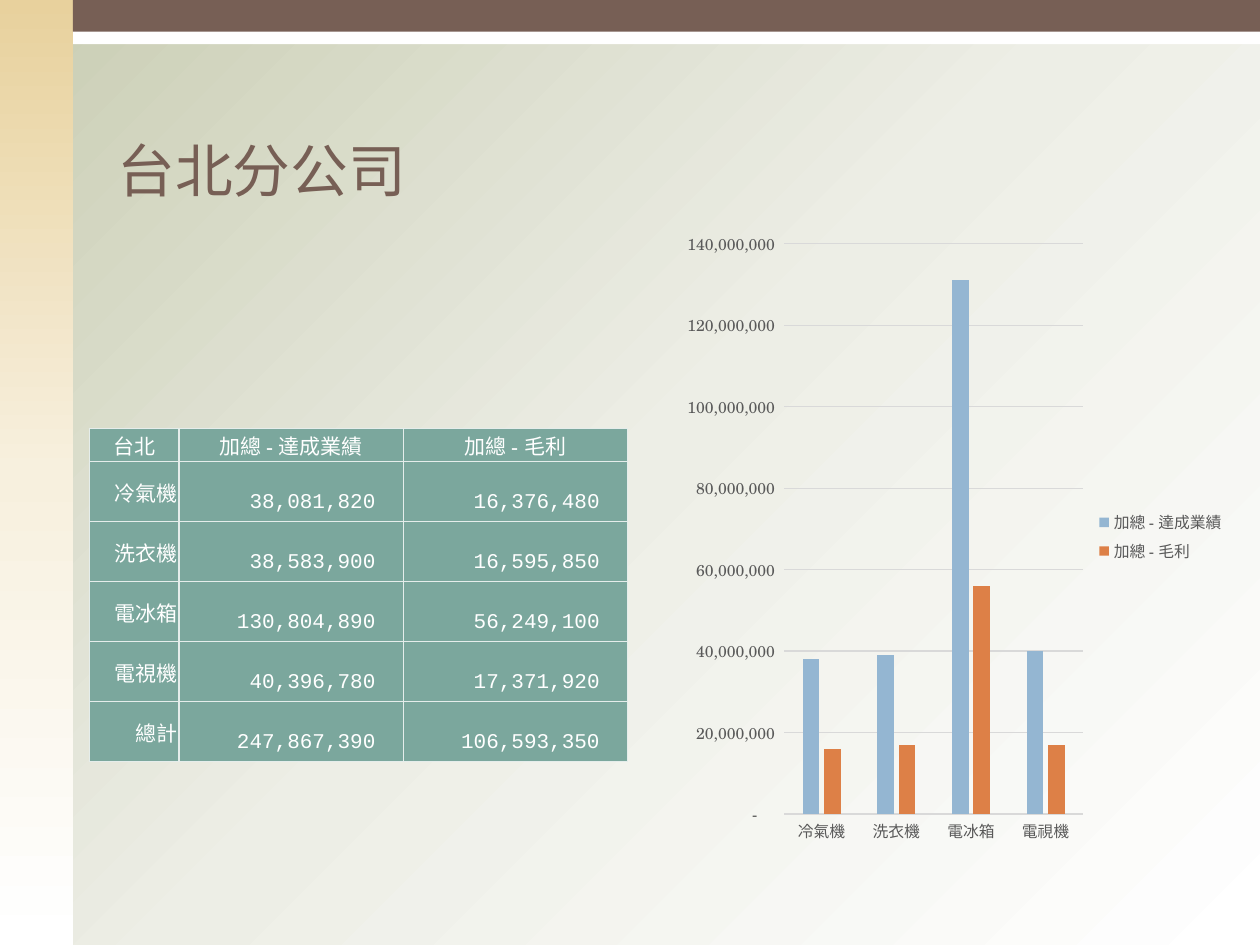
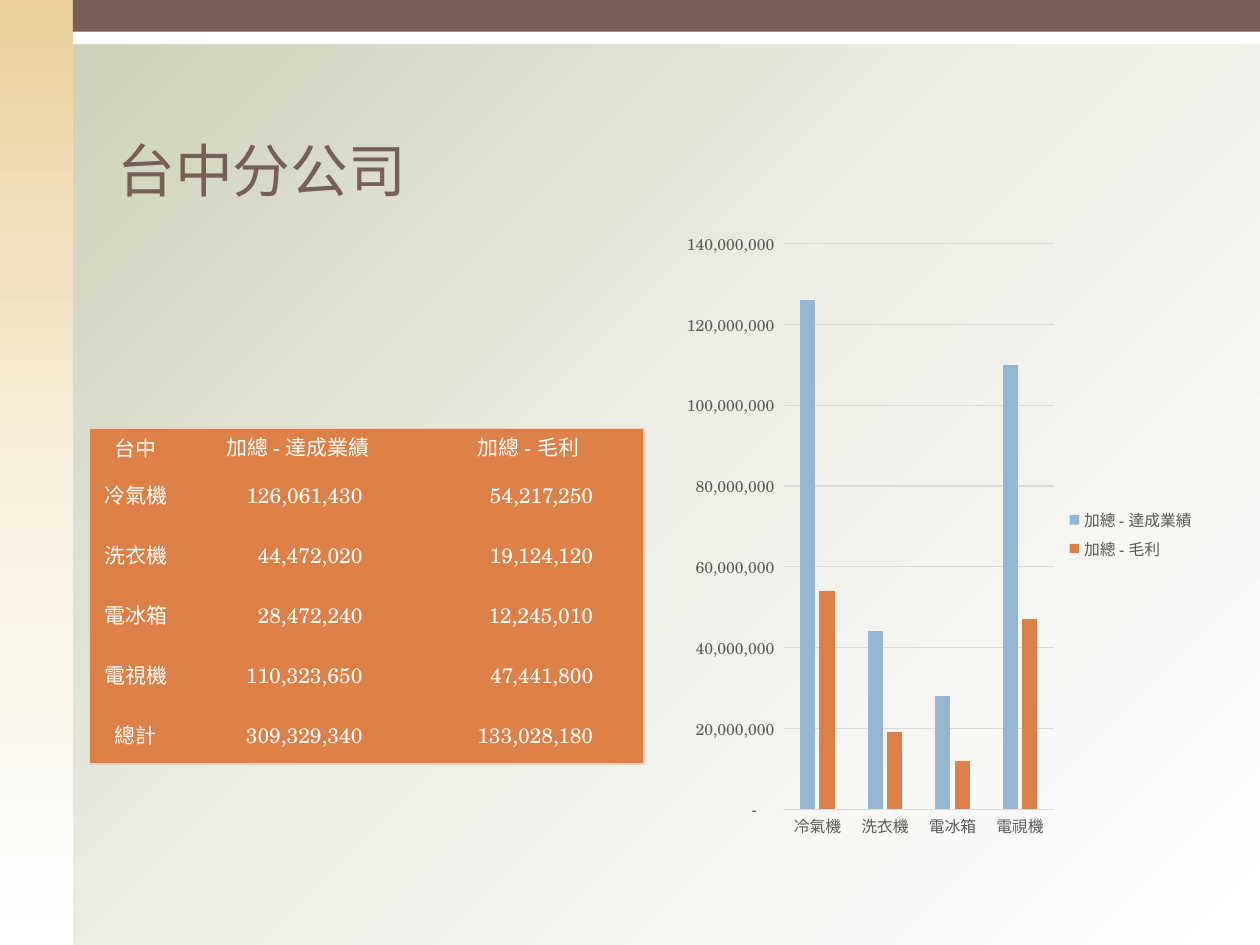
import pptx
import pptx.chart.data
import pptx.dml.color
import pptx.enum.chart
import pptx.enum.shapes
import pptx.enum.text
import pptx.oxml
import pptx.oxml.ns
import pptx.util
from lxml import etree

Cm = pptx.util.Cm
Pt = pptx.util.Pt
RGBColor = pptx.dml.color.RGBColor
qn = pptx.oxml.ns.qn
PP_ALIGN = pptx.enum.text.PP_ALIGN
MSO_ANCHOR = pptx.enum.text.MSO_ANCHOR

# Colours
WHITE = RGBColor(0xFF, 0xFF, 0xFF)
BROWN = RGBColor(0x77, 0x5F, 0x55)
GREY_TEXT = RGBColor(0x59, 0x59, 0x59)
GREY_LINE = RGBColor(0xD9, 0xD9, 0xD9)
BLUE = RGBColor(0x94, 0xB6, 0xD2)
ORANGE = RGBColor(0xDD, 0x80, 0x47)
TEAL = RGBColor(0x7B, 0xA7, 0x9D)
PALE_TEAL = RGBColor(0xE5, 0xED, 0xEB)
PALE_ORANGE = RGBColor(0xEF, 0xCD, 0xC1)
SAGE_FADE = (RGBColor(0xC9, 0xCD, 0xB3), RGBColor(0xED, 0xEE, 0xE6), WHITE)
SAND_FADE = (RGBColor(0xE8, 0xD1, 0x9D), RGBColor(0xF7, 0xF0, 0xDE), WHITE)

# Fonts
SERIF = "TeX Gyre Schola"
SANS = "Noto Sans CJK KR"
MONO = "Courier New"

# Figures: sales and gross profit for each product
PRODUCTS = ("冷氣機", "洗衣機", "電冰箱", "電視機")
MEASURES = ("加總 - 達成業績", "加總 - 毛利")
TAIPEI = ((38081820, 38583900, 130804890, 40396780),
          (16376480, 16595850, 56249100, 17371920))
TAICHUNG = ((126061430, 44472020, 28472240, 110323650),
            (54217250, 19124120, 12245010, 47441800))
NUMBER_FORMAT = '_-* #,##0_-;\\-* #,##0_-;_-* "-"??_-;_-@_'


def format_font(font, size, color, name=SERIF):
    font.size, font.name, font.bold = Pt(size), name, False
    font.color.rgb = color


def write_text(text_frame, text, size=12, color=WHITE, name=SERIF,
               align=PP_ALIGN.LEFT):
    paragraph = text_frame.paragraphs[0]
    paragraph.alignment = align
    run = paragraph.add_run()
    run.text = text
    format_font(run.font, size, color, name)


def fill_gradient(fill, owner, colors, angle):
    fill.gradient()
    fill.gradient_angle = 360 - angle
    stops = next(owner.iter(qn("a:gsLst")))
    stops.clear()
    for index, color in enumerate(colors):
        stop = etree.SubElement(stops, qn("a:gs"), pos=str(index * 50000))
        etree.SubElement(stop, qn("a:srgbClr"), val=str(color))


def set_east_asian_font(element):
    for latin in list(element.iter(qn("a:latin"))):
        east_asian = etree.Element(qn("a:ea"), typeface=SANS)
        latin.addnext(east_asian)


def set_borders(cell, color, width, visible_sides):
    properties = cell._tc.get_or_add_tcPr()
    for index, side in enumerate("LRTB"):
        line = etree.Element(qn(f"a:ln{side}"), w=str(Pt(width)))
        if side in visible_sides:
            solid = etree.SubElement(line, qn("a:solidFill"))
            etree.SubElement(solid, qn("a:srgbClr"), val=str(color))
        else:
            etree.SubElement(line, qn("a:noFill"))
        properties.insert(index, line)


def no_fill_properties():
    properties = etree.Element(qn("c:spPr"))
    etree.SubElement(properties, qn("a:noFill"))
    line = etree.SubElement(properties, qn("a:ln"))
    etree.SubElement(line, qn("a:noFill"))
    return properties


class BranchDeck:
    def __init__(self):
        self.presentation = pptx.Presentation()
        self.presentation.slide_width = Cm(25.4)
        self.presentation.slide_height = Cm(19.05)
        self.slide = None

    def add_slide(self, title):
        layout = self.presentation.slide_layouts[5]
        self.slide = self.presentation.slides.add_slide(layout)
        shape = self.slide.shapes.title
        shape.left, shape.top = Cm(2.11), Cm(1.07)
        shape.width, shape.height = Cm(22.23), Cm(3.18)
        shape.text_frame.vertical_anchor = MSO_ANCHOR.BOTTOM
        shape.text_frame.auto_size = pptx.enum.text.MSO_AUTO_SIZE.NONE
        write_text(shape.text_frame, title, size=33, color=BROWN, name=SANS)
        set_east_asian_font(shape.element)

    def add_band(self, left, top, width, height, color=None):
        shape = self.slide.shapes.add_shape(
            pptx.enum.shapes.MSO_SHAPE.RECTANGLE,
            Cm(left), Cm(top), Cm(width), Cm(height))
        shape.shadow.inherit = False
        shape.line.fill.background()
        if color is None:
            fill_gradient(shape.fill, shape.element, SAND_FADE, 90)
        else:
            shape.fill.solid()
            shape.fill.fore_color.rgb = color
        return shape

    def decorate_master(self):
        master = self.presentation.slide_master
        fill_gradient(master.background.fill, master.element, SAGE_FADE, 45)
        bands = (self.add_band(0, 0, 25.4, 0.89, WHITE),
                 self.add_band(0, 0, 1.47, 19.05),
                 self.add_band(1.47, 0, 23.93, 0.64, BROWN))
        for index, band in enumerate(bands):
            master.shapes.element.insert(2 + index, band.element)

    def add_table(self, branch, figures, widths, header_height, fill,
                  border, border_width, grid, label_align, number_font,
                  number_margins):
        rows = [(branch, *MEASURES)]
        for label, *numbers in zip(PRODUCTS, *figures):
            rows.append((label, *(f"{number:,}" for number in numbers)))
        rows.append(("總計", *(f"{sum(column):,}" for column in figures)))
        row_height = 1.21
        last_row, last_column = len(rows) - 1, len(widths) - 1
        frame = self.slide.shapes.add_table(
            len(rows), len(widths), Cm(1.8), Cm(8.64), Cm(sum(widths)),
            Cm(header_height + row_height * last_row))
        table = frame.table
        table.first_row = table.horz_banding = False
        for column, width in zip(table.columns, widths):
            column.width = Cm(width)

        for row_index, row in enumerate(rows):
            table.rows[row_index].height = Cm(
                row_height if row_index else header_height)
            for column_index, text in enumerate(row):
                cell = table.cell(row_index, column_index)
                is_number = row_index > 0 and column_index > 0
                margins = number_margins if is_number else (0.03, 0.03, 0.03, 0)
                (cell.margin_left, cell.margin_top, cell.margin_right,
                 cell.margin_bottom) = map(Cm, margins)
                cell.vertical_anchor = MSO_ANCHOR.MIDDLE
                if is_number:
                    align = PP_ALIGN.RIGHT
                else:
                    align = label_align if row_index else PP_ALIGN.CENTER
                write_text(cell.text_frame, text, align=align,
                           name=number_font if is_number else SERIF)
                cell.fill.solid()
                cell.fill.fore_color.rgb = fill
                outer = (("L", column_index == 0),
                         ("R", column_index == last_column),
                         ("T", row_index == 0), ("B", row_index == last_row))
                sides = [side for side, on_edge in outer if grid or on_edge]
                set_borders(cell, border, border_width, sides)
        set_east_asian_font(frame.element)

    def add_chart(self, figures, width, height):
        data = pptx.chart.data.CategoryChartData(number_format=NUMBER_FORMAT)
        data.categories = PRODUCTS
        for measure, values in zip(MEASURES, figures):
            data.add_series(measure, [round(value, -6) for value in values])
        chart = self.slide.shapes.add_chart(
            pptx.enum.chart.XL_CHART_TYPE.COLUMN_CLUSTERED,
            Cm(13.54), Cm(4.42), Cm(width), Cm(height), data).chart
        chart.has_title = False
        format_font(chart.font, 10, RGBColor(0, 0, 0))

        # Columns
        plot = chart.plots[0]
        plot.gap_width, plot.overlap = 219, -27
        plot.vary_by_categories = False
        for series, color in zip(plot.series, (BLUE, ORANGE)):
            series.format.fill.solid()
            series.format.fill.fore_color.rgb = color

        # Axes
        for axis in (chart.category_axis, chart.value_axis):
            axis.major_tick_mark = pptx.enum.chart.XL_TICK_MARK.NONE
            axis.minor_tick_mark = pptx.enum.chart.XL_TICK_MARK.NONE
            format_font(axis.tick_labels.font, 9, GREY_TEXT)
        value_axis = chart.value_axis
        value_axis.tick_labels.number_format = NUMBER_FORMAT
        value_axis.tick_labels.number_format_is_linked = False
        value_axis.format.line.fill.background()
        for line in (chart.category_axis.format.line,
                     value_axis.major_gridlines.format.line):
            line.color.rgb = GREY_LINE
            line.width = Pt(0.75)

        # Legend
        chart.has_legend = True
        chart.legend.position = pptx.enum.chart.XL_LEGEND_POSITION.RIGHT
        chart.legend.include_in_layout = False
        format_font(chart.legend.font, 9, GREY_TEXT)

        # Clear chart and plot backgrounds
        chart_space = chart.element
        chart_space.find(qn("c:txPr")).addprevious(no_fill_properties())
        next(chart_space.iter(qn("c:plotArea"))).append(no_fill_properties())
        set_east_asian_font(chart_space)


def main():
    deck = BranchDeck()

    # Taipei branch
    deck.add_slide("台北分公司")
    deck.decorate_master()
    deck.add_table("台北", TAIPEI, (1.81, 4.52, 4.52), 0.63, TEAL,
                   PALE_TEAL, 1, grid=True, label_align=PP_ALIGN.RIGHT,
                   number_font=MONO, number_margins=(0.25, 0.6, 0.56, 0.13))
    deck.add_chart(TAIPEI, 11.4, 12.8)

    # Taichung branch
    deck.add_slide("台中分公司")
    deck.add_table("台中", TAICHUNG, (1.88, 4.65, 4.65), 0.71, ORANGE,
                   PALE_ORANGE, 0.79, grid=False, label_align=PP_ALIGN.CENTER,
                   number_font=SERIF, number_margins=(0.03, 0.03, 1.02, 0))
    deck.add_chart(TAICHUNG, 10.8, 12.7)

    deck.presentation.save("out.pptx")


if __name__ == "__main__":
    main()
